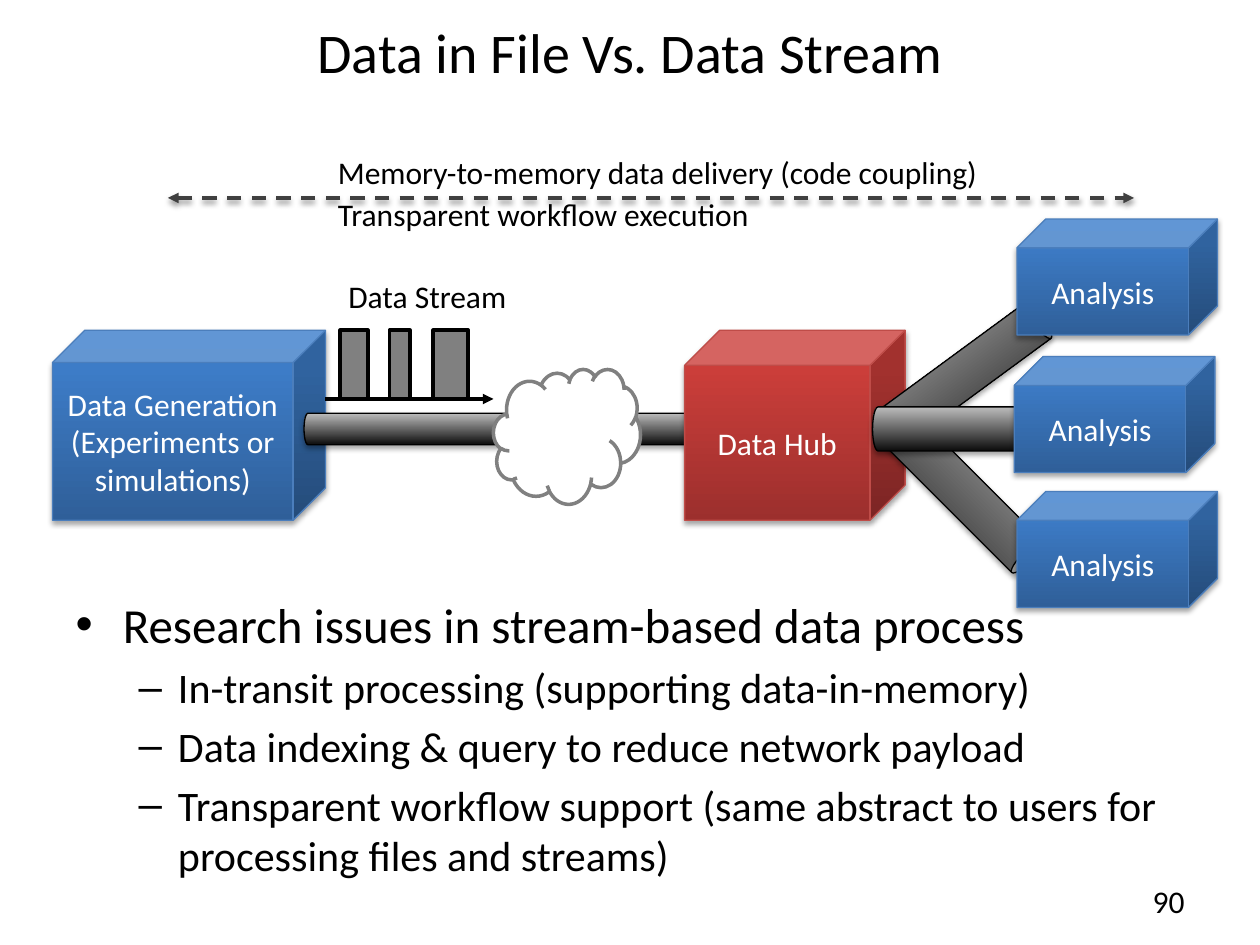
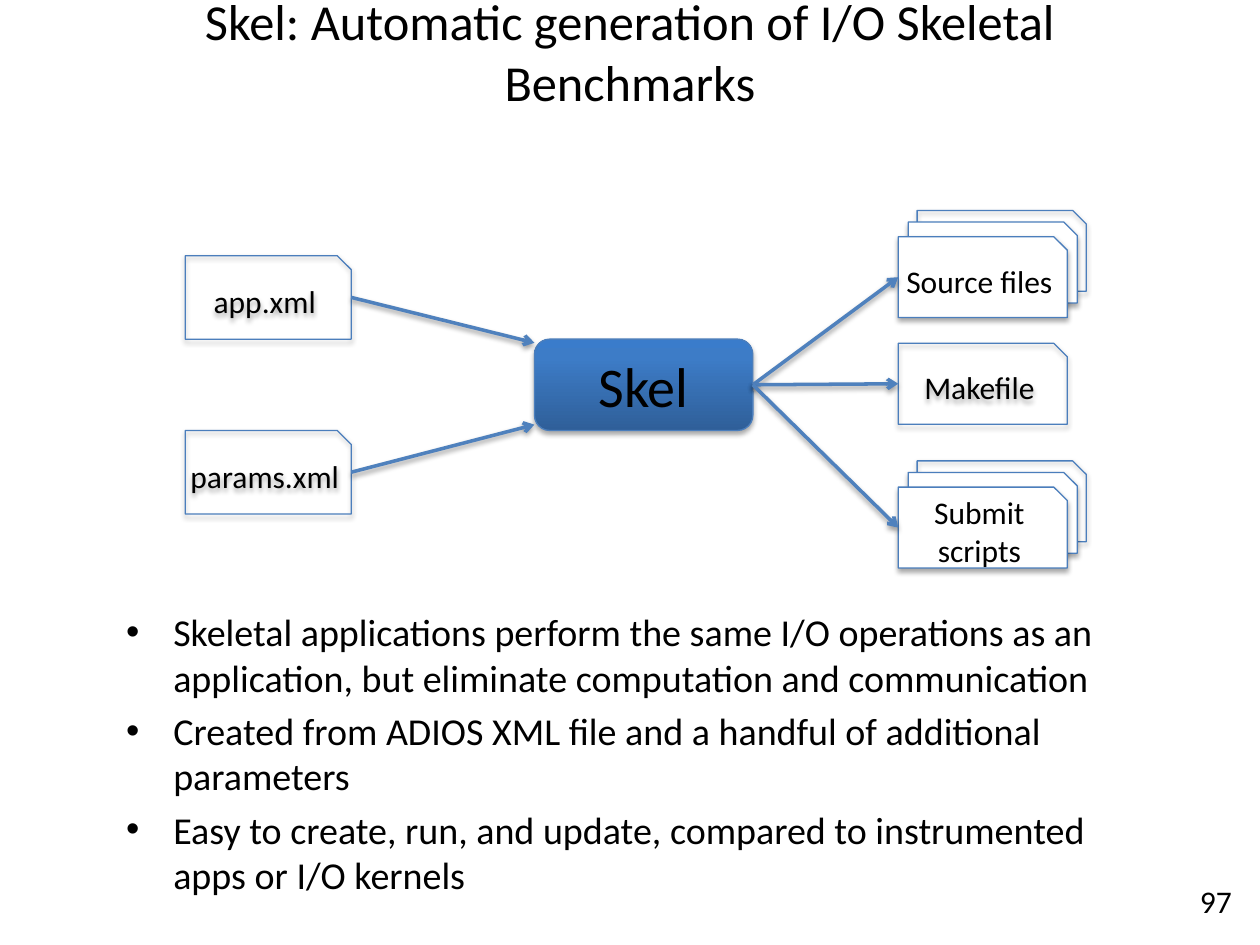
"""Build two slides on data streams and skeletal benchmarks on a 120 by 90 grid."""
from pptx import Presentation
from pptx.dml.color import RGBColor
from pptx.enum.dml import MSO_LINE
from pptx.enum.shapes import MSO_CONNECTOR, MSO_SHAPE as SHAPE
from pptx.enum.text import MSO_ANCHOR as ANCHOR, MSO_AUTO_SIZE, PP_ALIGN as ALIGN
from pptx.oxml import parse_xml
from pptx.oxml.ns import nsdecls, qn
from pptx.util import Inches, Pt

BLACK = RGBColor(0x00, 0x00, 0x00)
WHITE = RGBColor(0xFF, 0xFF, 0xFF)
GRAY = RGBColor(0x80, 0x80, 0x80)
DARK = RGBColor(0x40, 0x40, 0x40)
BLUE_EDGE = RGBColor(0x4B, 0x7E, 0xBC)
BLUE_LINE = RGBColor(0x4F, 0x81, 0xBD)
RED_EDGE = RGBColor(0xBF, 0x4C, 0x48)
BLUES = [(0, RGBColor(0x2F, 0x5F, 0x99)), (80, RGBColor(0x3D, 0x7C, 0xC7)),
         (100, RGBColor(0x3A, 0x7C, 0xCB))]
REDS = [(0, RGBColor(0x9C, 0x2F, 0x2D)), (80, RGBColor(0xCB, 0x3E, 0x3A)),
        (100, RGBColor(0xCE, 0x3B, 0x37))]
STEEL = [(0, RGBColor(0x0D, 0x0D, 0x0D)), (100, RGBColor(0xBD, 0xBD, 0xBD))]
COLUMNS = 120
TOP, LEFT, BOTTOM, RIGHT = range(4)


class Deck:
    font = "Calibri"
    size = 18

    def __init__(self):
        self.prs = Presentation()
        self.prs.slide_width, self.prs.slide_height = Inches(10), Inches(7.5)
        self.unit = self.prs.slide_width / COLUMNS
        self.s = None

    def grid(self, *cells):
        return [round(c * self.unit) for c in cells]

    def place(self, sp, box):
        sp.left, sp.top, sp.width, sp.height = self.grid(*box)

    def add_lines(self, tf, lines, size=None, color=BLACK, align=None):
        tf.word_wrap = True
        for i, text in enumerate(lines):
            p = tf.paragraphs[0] if i == 0 else tf.add_paragraph()
            p.alignment = align
            r = p.add_run()
            r.text = text
            r.font.name = self.font
            r.font.size = Pt(size or self.size)
            r.font.color.rgb = color

    def slide(self, title, title_size, number, number_col):
        self.s = self.prs.slides.add_slide(self.prs.slide_layouts[1])
        sp = self.s.shapes.title
        self.place(sp, (6, 1, 108, 7.7))
        sp.text_frame.auto_size = MSO_AUTO_SIZE.NONE
        sp.text_frame.vertical_anchor = ANCHOR.MIDDLE
        self.add_lines(sp.text_frame, [title], title_size, align=ALIGN.CENTER)
        self.label(number, (number_col, 83.4, 28, 4.8), ALIGN.RIGHT, ANCHOR.MIDDLE)

    def bullets(self, box, items, sizes):
        sp = self.s.placeholders[1]
        self.place(sp, box)
        tf = sp.text_frame
        tf.auto_size = MSO_AUTO_SIZE.NONE
        self.add_lines(tf, [text for _, text in items])
        for p, (level, _) in zip(tf.paragraphs, items):
            p.level = level
            p.runs[0].font.size = Pt(sizes[level])
        tf.paragraphs[0].space_before = Pt(0)

    def label(self, text, box, align=ALIGN.LEFT, anchor=ANCHOR.TOP):
        sp = self.s.shapes.add_textbox(*self.grid(*box))
        sp.text_frame.vertical_anchor = anchor
        self.add_lines(sp.text_frame, [text], align=align)

    def shadow(self, effects, alpha):
        effects.append(parse_xml(
            f'<a:outerShdw {nsdecls("a")} blurRad="{Pt(3.1)}" dist="{Pt(1.8)}" '
            f'dir="5400000" rotWithShape="0"><a:srgbClr val="{BLACK}">'
            f'<a:alpha val="{alpha}000"/></a:srgbClr></a:outerShdw>'))

    def gradient(self, sp, stops, angle):
        sp.fill.gradient()
        sp.fill.gradient_angle = angle
        gs_list = sp._element.spPr.find(".//" + qn("a:gsLst"))
        for gs in list(gs_list):
            gs_list.remove(gs)
        for pos, color in stops:
            gs_list.append(parse_xml(
                f'<a:gs {nsdecls("a")} pos="{pos}000"><a:srgbClr val="{color}"/></a:gs>'))

    def shape(self, kind, box, fill, edge, weight=0.75, shadow=True, angle=90):
        sp = self.s.shapes.add_shape(kind, *self.grid(*box))
        if fill is None:
            sp.fill.background()
        elif isinstance(fill, list):
            self.gradient(sp, fill, angle)
        else:
            sp.fill.solid()
            sp.fill.fore_color.rgb = fill
        sp.line.color.rgb = edge
        sp.line.width = Pt(weight)
        sp.shadow.inherit = False
        if shadow:
            self.shadow(sp._element.spPr.find(qn("a:effectLst")), 35)
        return sp

    def cube(self, lines, box, fill=BLUES, edge=BLUE_EDGE, depth=0.25):
        sp = self.shape(SHAPE.CUBE, box, fill, edge)
        sp.adjustments[0] = depth
        sp.text_frame.vertical_anchor = ANCHOR.MIDDLE
        self.add_lines(sp.text_frame, lines, color=WHITE, align=ALIGN.CENTER)

    def pipe(self, cx, cy, width, length, turn=90):
        box = (cx - width / 2, cy - length / 2, width, length)
        self.shape(SHAPE.CAN, box, STEEL, BLACK, angle=180).rotation = turn

    def sheet(self, text, box, fill=None):
        sp = self.shape(SHAPE.SNIP_1_RECTANGLE, box, fill, BLUE_EDGE)
        if text:
            tf = sp.text_frame
            tf.margin_left = tf.margin_right = 0
            tf.vertical_anchor = ANCHOR.MIDDLE
            self.add_lines(tf, [text], align=ALIGN.CENTER)
        return sp

    def sheet_stack(self, text, box):
        x, y, w, h = box
        self.sheet(None, (x + 1.8, y - 2.5, w, h))
        self.sheet(None, (x + 0.95, y - 1.4, w, h), WHITE)
        return self.sheet(text, box, WHITE)

    def arrow(self, start, end, color, tail, head=None, dash=None, shadow=True):
        cn = self.s.shapes.add_connector(MSO_CONNECTOR.STRAIGHT, *self.grid(*start, *end))
        cn.line.color.rgb = color
        cn.line.width = Pt(2)
        if dash:
            cn.line.dash_style = dash
        spPr = cn._element.spPr
        for tag, kind in (("headEnd", head), ("tailEnd", tail)):
            if kind:
                spPr.find(qn("a:ln")).append(
                    parse_xml(f'<a:{tag} {nsdecls("a")} type="{kind}"/>'))
        effects = parse_xml(f'<a:effectLst {nsdecls("a")}/>')
        spPr.append(effects)
        if shadow:
            self.shadow(effects, 38)
        return cn


def stream_slide(deck):
    deck.slide("Data in File Vs. Data Stream", 32, "90", 86)
    deck.bullets((6, 56, 108, 27), [
        (0, "Research issues in stream-based data process"),
        (1, "In-transit processing (supporting data-in-memory)"),
        (1, "Data indexing & query to reduce network payload"),
        (1, "Transparent workflow support (same abstract to users for "
            "processing files and streams)")], (28, 24))

    block_top, block_height, pipe_row = 31.45, 18.1, 40.85
    deck.cube(["Data Generation", "(Experiments or simulations)"],
              (5, block_top, 26, block_height), depth=0.17)
    deck.pipe(47.95, pipe_row, 3, 38)
    deck.cube(["Data Hub"], (65.2, block_top, 21, block_height), REDS, RED_EDGE, 0.185)
    for cx, cy, length, turn in ((91.75, 35.75, 18.7, 53.7), (91.6, 46.8, 18.7, 135),
                                 (90.8, pipe_row, 15.4, 90)):
        deck.pipe(cx, cy, 4.2, length, turn)
    for col, row in ((96.85, 20.85), (96.6, 33.95), (96.85, 46.8)):
        deck.cube(["Analysis"], (col, row, 19.1, 11.05))
    deck.shape(SHAPE.CLOUD, (47, 35.15, 14, 12.85), WHITE, GRAY, 2, False)

    deck.label("Data Stream", (32, 25.8, 18.7, 5))
    deck.arrow((31, 38), (47, 38), BLACK, "triangle", shadow=False)
    for col, width in ((32.4, 2.65), (37.1, 1.95), (41.25, 3.35)):
        deck.shape(SHAPE.RECTANGLE, (col, block_top, width, 6.5), GRAY, BLACK, 2, False)

    deck.arrow((16, 18.85), (108, 18.85), DARK, "triangle", "triangle", MSO_LINE.DASH)
    deck.label("Memory-to-memory data delivery (code coupling)", (31, 14, 74, 4.8))
    deck.label("Transparent workflow execution", (31, 18, 51, 4.8))


def skel_slide(deck):
    deck.slide("Skel: Automatic generation of I/O Skeletal Benchmarks", 28.8, "97", 90.5)
    deck.bullets((10.8, 57.35, 101.4, 28.7), [
        (0, "Skeletal applications perform the same I/O operations as an application, "
            "but eliminate computation and communication"),
        (0, "Created from ADIOS XML file and a handful of additional parameters"),
        (0, "Easy to create, run, and update, compared to instrumented apps "
            "or I/O kernels")], (21.7,))

    skel = deck.shape(SHAPE.ROUNDED_RECTANGLE, (50.9, 32.3, 20.8, 8.7), BLUES, BLUE_EDGE)
    skel.text_frame.vertical_anchor = ANCHOR.MIDDLE
    deck.add_lines(skel.text_frame, ["Skel"], 32, align=ALIGN.CENTER)

    for name, row, end_row in (("app.xml", 24.35, 32.65), ("params.xml", 41, 40.45)):
        source = deck.sheet(name, (17.65, row, 15.8, 7.95))
        cn = deck.arrow((33.45, row + 4), (50.9, end_row), BLUE_LINE, "arrow")
        cn.begin_connect(source, RIGHT)

    for draw, name, row in ((deck.sheet_stack, "Source files", 22.55),
                            (deck.sheet, "Makefile", 32.7),
                            (deck.sheet_stack, "Submit scripts", 46.4)):
        output = draw(name, (85.55, row, 16.1, 7.7))
        cn = deck.arrow((71.7, 36.65), (85.55, row + 3.85), BLUE_LINE, "arrow")
        cn.begin_connect(skel, RIGHT)
        cn.end_connect(output, LEFT)


def main():
    deck = Deck()
    stream_slide(deck)
    skel_slide(deck)
    deck.prs.save("out.pptx")


if __name__ == "__main__":
    main()
